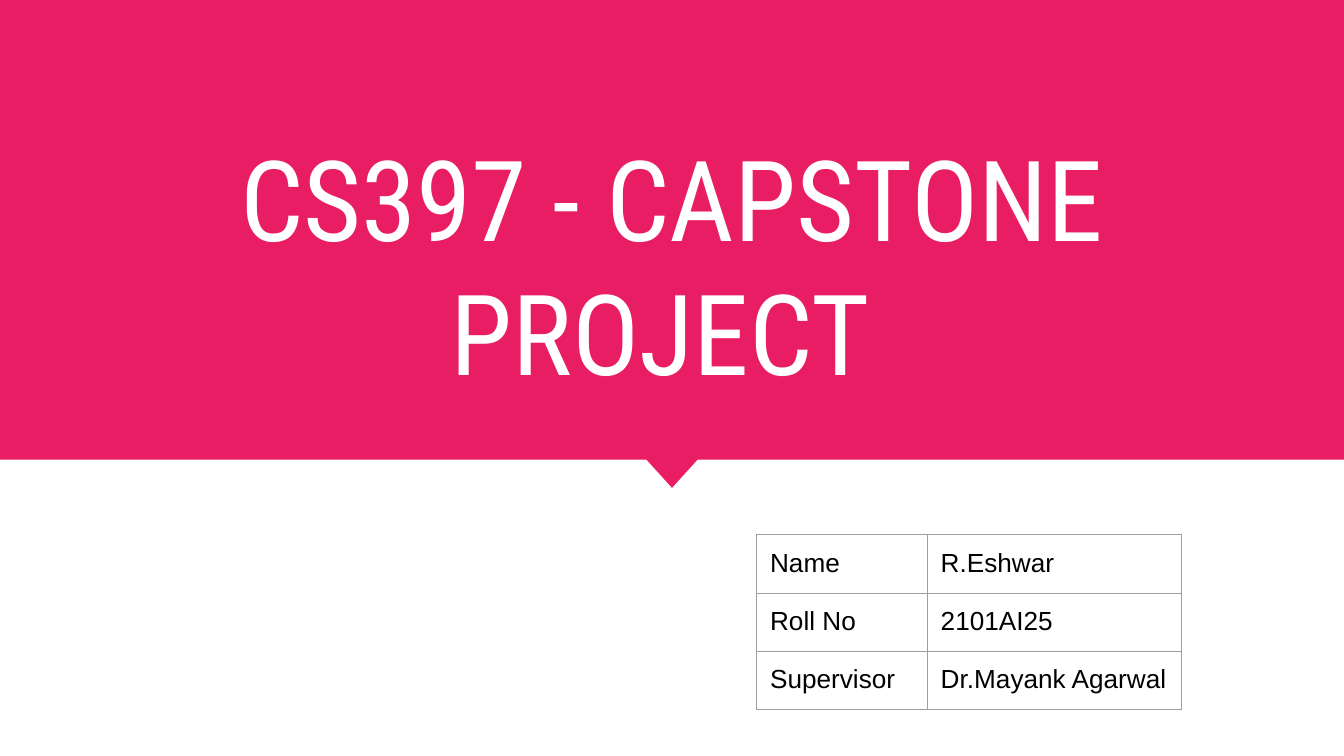
"""Build the title slide of a capstone project."""
import pptx
import pptx.dml.color
import pptx.enum.shapes
import pptx.enum.text
import pptx.oxml
import pptx.oxml.ns
import pptx.util

WIDE = 10
HIGH = WIDE * 9 / 16
PINK, WHITE, BLACK, GREY = "E91D63", "FFFFFF", "000000", "9E9E9E"
ROWS = [
    ("Name", "R.Eshwar"),
    ("Roll No", "2101AI25"),
    ("Supervisor", "Dr.Mayank Agarwal"),
]
COLS = (1.27, 1.89)
ROW = 0.04
FRAME = 3.28
SHAPE = pptx.enum.shapes.MSO_SHAPE
ALIGN = pptx.enum.text.PP_ALIGN
ANCHOR = pptx.enum.text.MSO_ANCHOR


def inch(*nums):
    """Turn numbers into a list of lengths."""
    return [pptx.util.Inches(num) for num in nums]


def hue(code):
    """Turn a hex string into a colour."""
    return pptx.dml.color.RGBColor.from_string(code)


def write(frame, text, size=14, font="Arial", color=BLACK, align=ALIGN.LEFT):
    """Put formatted text into a text frame."""
    para = frame.paragraphs[0]
    para.alignment = align
    run = para.add_run()
    run.text = text
    run.font.size = pptx.util.Pt(size)
    run.font.name = font
    run.font.color.rgb = hue(color)


def pad(box):
    """Give a text frame or a cell equal margins."""
    box.margin_left = box.margin_right = pptx.util.Inches(0.1)
    box.margin_top = box.margin_bottom = pptx.util.Inches(0.1)


def block(slide, kind, *place, turn=0):
    """Draw a plain pink shape."""
    shape = slide.shapes.add_shape(kind, *inch(*place))
    shape.shadow.inherit = False
    shape.fill.solid()
    shape.fill.fore_color.rgb = hue(PINK)
    shape.line.fill.background()
    shape.rotation = turn


def title(slide, text, *place):
    """Add the large centred title."""
    frame = slide.shapes.add_textbox(*inch(*place)).text_frame
    frame.word_wrap = True
    frame.vertical_anchor = ANCHOR.BOTTOM
    pad(frame)
    write(frame, text, size=60, font="Roboto Condensed", color=WHITE,
          align=ALIGN.CENTER)


def border(cell):
    """Draw thin grey lines on all sides of a cell."""
    props = cell._tc.get_or_add_tcPr()
    space = pptx.oxml.ns.nsdecls("a")
    for spot, side in enumerate(("lnL", "lnR", "lnT", "lnB")):
        props.insert(spot, pptx.oxml.parse_xml(
            f'<a:{side} {space} w="{pptx.util.Pt(0.75)}"><a:solidFill>'
            f'<a:srgbClr val="{GREY}"/></a:solidFill></a:{side}>'))


def grid(slide, left, top):
    """Add the table of student details, its rows as tall as their text."""
    place = inch(left, top, FRAME, FRAME)
    holder = slide.shapes.add_table(len(ROWS), len(COLS), *place)
    table = holder.table
    table.first_row = table.horz_banding = False
    for col, width in zip(table.columns, inch(*COLS)):
        col.width = width
    for row, words in zip(table.rows, ROWS):
        row.height = pptx.util.Inches(ROW)
        for cell, word in zip(row.cells, words):
            cell.fill.background()
            pad(cell)
            border(cell)
            write(cell.text_frame, word)
    holder.width, holder.height = inch(FRAME, FRAME)


def main():
    """Build and save the slide."""
    deck = pptx.Presentation()
    deck.slide_width, deck.slide_height = inch(WIDE, HIGH)
    slide = deck.slides.add_slide(deck.slide_layouts[6])
    block(slide, SHAPE.ISOSCELES_TRIANGLE, WIDE / 2 - 0.38, 3.21, 0.76, 0.42,
          turn=180)
    block(slide, SHAPE.RECTANGLE, 0, 0, WIDE, 3.42)
    title(slide, "CS397 - CAPSTONE PROJECT ", 0.34, 0.27, WIDE - 0.68, 2.79)
    grid(slide, 5.63, 3.98)
    deck.save("out.pptx")


if __name__ == "__main__":
    main()
